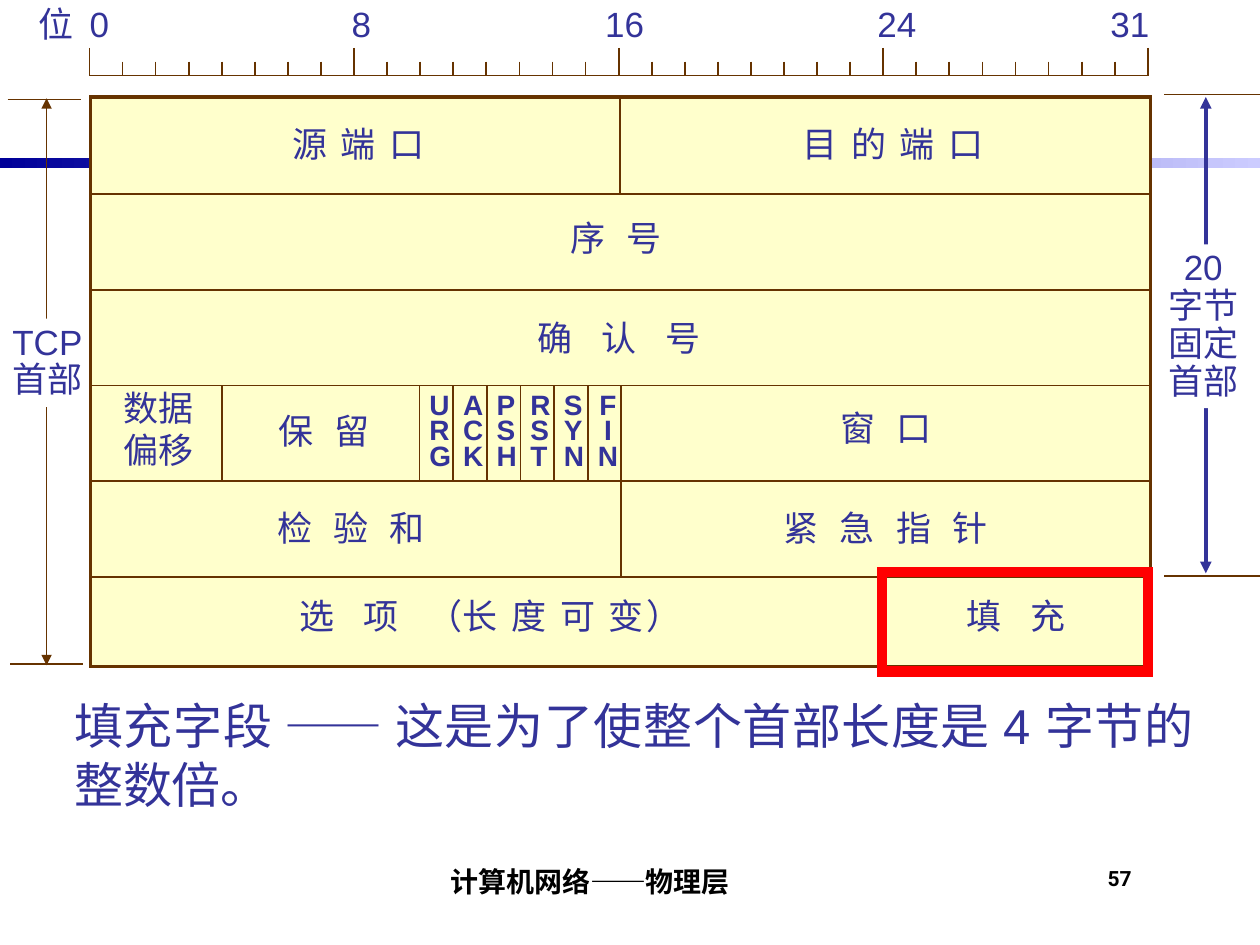
from pptx import Presentation
from pptx.dml.color import RGBColor
from pptx.enum.shapes import MSO_CONNECTOR, MSO_SHAPE
from pptx.enum.text import MSO_ANCHOR, MSO_AUTO_SIZE, PP_ALIGN
from pptx.oxml.ns import qn
from pptx.util import Inches, Pt
from lxml import etree

STRAIGHT, RECT = MSO_CONNECTOR.STRAIGHT, MSO_SHAPE.RECTANGLE
LEFT, CENTER, JUSTIFY = PP_ALIGN.LEFT, PP_ALIGN.CENTER, PP_ALIGN.JUSTIFY
TOP, BOTTOM = MSO_ANCHOR.TOP, MSO_ANCHOR.BOTTOM
GROW, FIXED = MSO_AUTO_SIZE.SHAPE_TO_FIT_TEXT, MSO_AUTO_SIZE.NONE

THEME = dict(
    ink="333399", rule="663300", cell="FFFFCC", mark="FF0000", paper="FFFFFF",
    black="000000", bar=("000099", "CCCCFF"), font="Arial", footer_font="Roboto",
    label=20, flag=16, body=28, footer=16, number=12,
)

# Content: field labels as (runs, left, top, width); a run is (text, tracking in points)
WIDE, WIDER, WIDEST = 1.65, 3.85, 6.05
FIELDS = [
    ([("源 端 口", WIDE)], 2.22, 0.92, 1.28),
    ([("目 的 端 口", WIDE)], 6.27, 0.92, 1.69),
    ([("序 号", WIDER)], 4.43, 1.67, 1.51),
    ([("确 认 号", WIDEST)], 4.17, 2.46, 2.01),
    ([("保 留", WIDER)], 2.11, 3.2, 0.94),
    ([("窗 口", WIDER)], 6.57, 3.18, 0.94),
    ([("检 验 和", WIDER)], 2.1, 3.97, 1.41),
    ([("紧 急 指 针", WIDER)], 6.12, 3.97, 1.87),
    ([("选 项 ", WIDEST), ("（", 0), ("长 度 可 变", WIDE), ("）", 0)], 2.28, 4.67, 3.5),
    ([("填 充", WIDEST)], 7.57, 4.67, 1.37),
]
FLAGS = ["URG", "ACK", "PSH", "RST", "SYN", "FIN"]
SCALE = "位\t0\t8\t16\t24\t31"
SCALE_TABS = [0.48, 2.56, 4.65, 6.81, 8.66]
NOTE = "填充字段 —— 这是为了使整个首部长度是 4 字节的整数倍。"

# Geometry of the header diagram
X0, X1, Y0, ROW = 0.71, 9.13, 0.78, 0.76
BITS, BIT = 32, 0.2625
SCALE_Y = 0.6
FLAG_X, FLAG_W = 3.33, 0.267
MIDDLE = 4.93

prs = Presentation()
prs.slide_width, prs.slide_height = Inches(10), Inches(7.5)
s = prs.slides.add_slide(prs.slide_layouts[6])


def rgb(name):
    return RGBColor.from_string(THEME[name])


def add_rect(x, y, w, h, fill=None, line=None, weight=1):
    sp = s.shapes.add_shape(RECT, Inches(x), Inches(y), Inches(w), Inches(h))
    sp.shadow.inherit = False
    if fill:
        sp.fill.solid()
        sp.fill.fore_color.rgb = rgb(fill)
    else:
        sp.fill.background()
    if line:
        sp.line.color.rgb = rgb(line)
        sp.line.width = Pt(weight)
        etree.SubElement(sp.line._get_or_add_ln(), qn("a:miter"), lim="800000")
    else:
        sp.line.fill.background()
    return sp


def add_line(x1, y1, x2, y2, color="rule", weight=1, arrows=False):
    c = s.shapes.add_connector(STRAIGHT, Inches(x1), Inches(y1), Inches(x2), Inches(y2))
    c.line.color.rgb = rgb(color)
    c.line.width = Pt(weight)
    if arrows:
        for end in ("a:headEnd", "a:tailEnd"):
            etree.SubElement(c.line._get_or_add_ln(), qn(end)).set("type", "triangle")
    etree.SubElement(c._element.spPr, qn("a:effectLst"))


def add_text(paragraphs, x, y, w, h, size="label", font="font", color="ink", bold=False,
             align=LEFT, spacing=None, wrap=False, grow=True, anchor=TOP,
             insets=(0.1, 0.05, 0.1, 0.05), fill=None, tabs=()):
    """Each paragraph is a string or a list of (text, tracking) runs."""
    box = s.shapes.add_textbox(Inches(x), Inches(y), Inches(w), Inches(h))
    if fill:
        box.fill.solid()
        box.fill.fore_color.rgb = rgb(fill)
    tf = box.text_frame
    tf.word_wrap, tf.vertical_anchor = wrap, anchor
    tf.auto_size = GROW if grow else FIXED
    tf.margin_left, tf.margin_top, tf.margin_right, tf.margin_bottom = map(Inches, insets)
    for i, runs in enumerate(paragraphs):
        p = tf.add_paragraph() if i else tf.paragraphs[0]
        p.alignment = align
        if spacing:
            p.line_spacing = spacing
        if tabs:
            tab_list = etree.SubElement(p._p.get_or_add_pPr(), qn("a:tabLst"))
            for pos in tabs:
                etree.SubElement(tab_list, qn("a:tab"), pos=str(Inches(pos)), algn="ctr")
        for text, tracking in ([(runs, 0)] if isinstance(runs, str) else runs):
            r = p.add_run()
            r.text = text
            r.font.size, r.font.bold = Pt(THEME[size]), bold
            r.font.name, r.font.color.rgb = THEME[font], rgb(color)
            if tracking:
                r._r.get_or_add_rPr().set("spc", str(round(tracking * 100)))


# Coloured bar behind the diagram and page number
bar = add_rect(0, 1.25, 10, 0.08)
bar.fill.gradient()
bar.fill.gradient_angle = 0
for stop, color in zip(bar.fill.gradient_stops, THEME["bar"]):
    stop.color.rgb = RGBColor.from_string(color)
add_text(["57"], 8.75, 6.83, 0.58, 0.42, "number", "footer_font", "black", True,
         wrap=True, grow=False, insets=(0.04, 0.04, 0, 0))

# Height arrows with their labels
add_line(0.37, Y0, 0.37, 5.28, arrows=True)
add_text(["TCP", "首部"], 0, 2.53, 0.76, 0.7, spacing=0.9, fill="paper")
add_line(9.57, 0.77, 9.57, 4.55, "ink", 2.25, arrows=True)
add_text(["20", "字节", "固定", "首部"], 9.17, 1.94, 0.76, 1.3,
         align=CENTER, spacing=0.9, fill="paper")
for x, y, length in [(9.24, 0.75, 0.91), (9.24, 4.57, 0.91), (0.06, 0.79, 0.58), (0.08, 5.27, 0.58)]:
    add_line(x, y, x + length, y)

# Header frame, rows and column dividers
add_rect(0.72, 0.77, 8.41, 4.52, "cell", "rule", 2)
row_y = [Y0 + ROW * i for i in range(6)]
for y in row_y[1:]:
    add_line(X0, y, X1, y)
add_line(4.92, row_y[0], 4.92, row_y[1])
add_line(MIDDLE, row_y[3], MIDDLE, row_y[5])
add_line(1.76, row_y[3], 1.76, row_y[4])
add_line(7, row_y[5], 7, 5.3)

# Flag columns
for i, flag in enumerate(FLAGS):
    x = FLAG_X + FLAG_W * i
    add_line(x, row_y[3], x, row_y[4])
    add_text(list(flag), x - 0.02, 3.09, 0.36, 0.7, "flag", bold=True,
             align=CENTER if flag == "FIN" else LEFT, spacing=0.75)

# Field labels; no right inset, so the tracking after the last character fits
for runs, x, y, w in FIELDS:
    add_text([runs], x, y, w, 0.43, wrap=True, insets=(0.1, 0.05, 0, 0.05))
add_text(["数据", "偏移"], 0.88, 3.02, 0.76, 0.76)

# Bit scale
add_line(X0, SCALE_Y, X0 + BITS * BIT, SCALE_Y)
for bit in range(BITS + 1):
    x = X0 + bit * BIT
    add_line(x, 0.38 if bit % 8 == 0 else 0.49, x, SCALE_Y)
add_text([SCALE], 0.21, -0.03, 9.04, 0.43, wrap=True, tabs=SCALE_TABS)

# Highlight, explanation and footer
add_rect(7, 4.54, 2.11, 0.79, line="mark", weight=6)
add_text([NOTE], 0.49, 5.47, 9.08, 1.04, "body", align=JUSTIFY, wrap=True)
add_text(["计算机网络——物理层"], 2.08, 6.75, 5.17, 0.42, "footer", "footer_font", "black", True,
         align=CENTER, wrap=True, grow=False, anchor=BOTTOM, insets=(0.04, 0, 0, 0.04))

prs.save("out.pptx")
